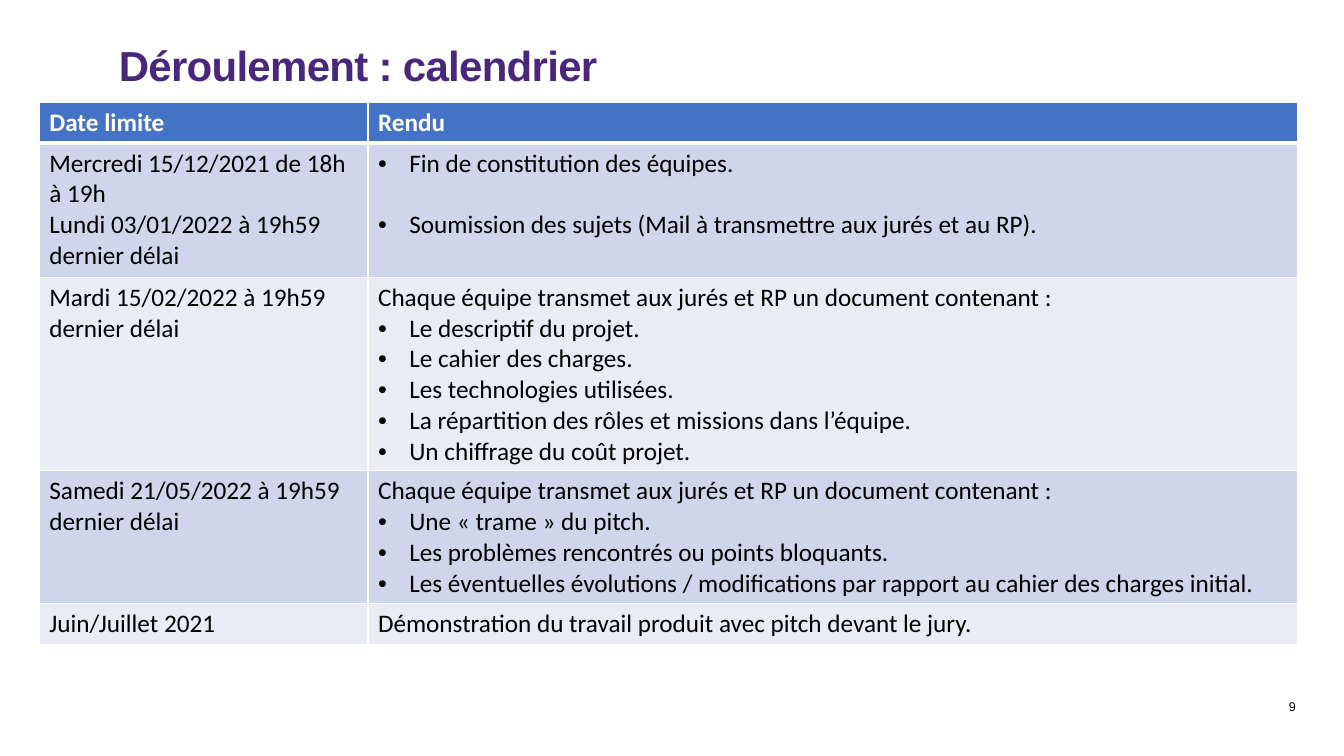
from lxml import etree
from pptx import Presentation
from pptx.dml.color import RGBColor
from pptx.enum.text import PP_ALIGN
from pptx.oxml.ns import qn
from pptx.util import Inches, Pt

RIGHT = PP_ALIGN.RIGHT
WHITE, BLACK = "FFFFFF", "000000"
HEAD, DARK, LIGHT = "4472C4", "CFD5EA", "E9EBF5"
TITLE = {"name": "Arial", "size": Pt(30), "bold": True}
PAGE = {"name": "Arial", "size": Pt(9)}
BODY = {"name": "Calibri", "size": Pt(18), "bold": False}
BOLD = {**BODY, "bold": True}
WIDTHS = [3.26, 9.22]
HEIGHTS = [0.4, 1.33, 1.92, 1.32, 0.4]
INTRO = "Chaque équipe transmet aux jurés et RP un document contenant :"
ROWS = [
    (["Date limite"], ["Rendu"]),
    (["Mercredi 15/12/2021 de 18h à 19h",
      "Lundi 03/01/2022 à 19h59 dernier délai"],
     ["• Fin de constitution des équipes.",
      "• Soumission des sujets (Mail à transmettre aux jurés et au RP)."]),
    (["Mardi 15/02/2022 à 19h59 dernier délai"],
     [INTRO,
      "• Le descriptif du projet.",
      "• Le cahier des charges.",
      "• Les technologies utilisées.",
      "• La répartition des rôles et missions dans l’équipe.",
      "• Un chiffrage du coût projet."]),
    (["Samedi 21/05/2022 à 19h59 dernier délai"],
     [INTRO,
      "• Une « trame » du pitch.",
      "• Les problèmes rencontrés ou points bloquants.",
      "• Les éventuelles évolutions / modifications par rapport au cahier des charges initial."]),
    (["Juin/Juillet 2021"],
     ["Démonstration du travail produit avec pitch devant le jury."]),
]


def color(code):
    return RGBColor.from_string(code)


def write(para, text, style, code):
    run = para.add_run()
    run.text = text
    for key, value in style.items():
        setattr(run.font, key, value)
    run.font.color.rgb = color(code)
    return run


def add_text(slide, box, text, style, code):
    frame = slide.shapes.add_textbox(*map(Inches, box)).text_frame
    frame.word_wrap = True
    para = frame.paragraphs[0]
    return para, write(para, text, style, code)


def add_bullet(para):
    props = para._p.get_or_add_pPr()
    props.set("marL", str(Inches(0.31)))
    props.set("indent", str(-Inches(0.31)))
    font = etree.SubElement(props, qn("a:buFont"))
    font.set("typeface", "Arial")
    mark = etree.SubElement(props, qn("a:buChar"))
    mark.set("char", "•")


def add_edges(cell, sizes):
    props = cell._tc.get_or_add_tcPr()
    for spot, (side, size) in enumerate(zip("LRTB", sizes)):
        line = etree.Element(qn(f"a:ln{side}"), w=str(Pt(size)))
        fill = etree.SubElement(line, qn("a:solidFill"))
        etree.SubElement(fill, qn("a:srgbClr"), val=WHITE)
        props.insert(spot, line)


def fill_cell(cell, lines, style, code, back):
    frame = cell.text_frame
    for spot, text in enumerate(lines):
        para = frame.add_paragraph() if spot else frame.paragraphs[0]
        if text.startswith("• "):
            if text.startswith("• Soumission"):
                para.space_before = Pt(22)
            add_bullet(para)
        write(para, text.removeprefix("• "), style, code)
    cell.fill.solid()
    cell.fill.fore_color.rgb = color(back)


def add_plan(slide):
    box = (0.39, 1.02, sum(WIDTHS), sum(HEIGHTS))
    table = slide.shapes.add_table(len(ROWS), len(WIDTHS), *map(Inches, box)).table
    for col, width in zip(table.columns, WIDTHS):
        col.width = Inches(width)
    for row, height in zip(table.rows, HEIGHTS):
        row.height = Inches(height)
    for r, row in enumerate(ROWS):
        back = (DARK if r % 2 else LIGHT) if r else HEAD
        style, code = (BODY, BLACK) if r else (BOLD, WHITE)
        edges = (1, 1, 3 if r == 1 else 1, 1 if r else 3)
        for c, lines in enumerate(row):
            cell = table.cell(r, c)
            fill_cell(cell, lines, style, code, back)
            add_edges(cell, edges)


def main():
    deck = Presentation()
    deck.slide_width, deck.slide_height = Inches(13.33), Inches(7.5)
    slide = deck.slides.add_slide(deck.slide_layouts[6])
    para, run = add_text(slide, (1.08, 0.4, 6.28, 1.5),
                         "Déroulement : calendrier", TITLE, "49277D")
    para.line_spacing = 0.9
    run.font._element.set("spc", "-50")
    add_plan(slide)
    para, run = add_text(slide, (12.43, 6.88, 0.52, 0.4), "9", PAGE, BLACK)
    para.alignment = RIGHT
    deck.save("out.pptx")


if __name__ == "__main__":
    main()
